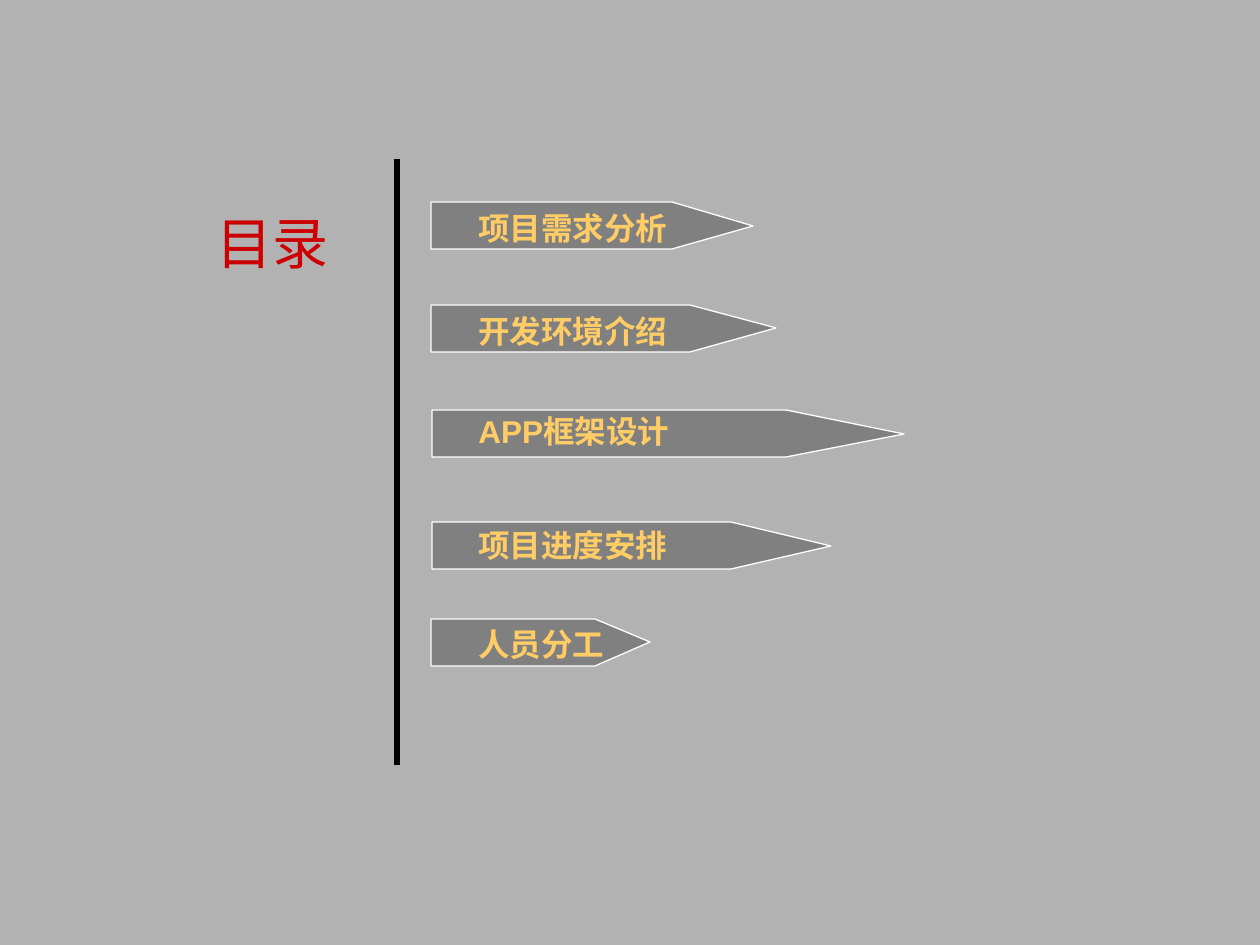
from pptx import Presentation
from pptx import util as u
from pptx.dml.color import RGBColor
from pptx.enum import shapes, text
from pptx.oxml.ns import qn
from lxml import etree

SCALE = 914400 / 126  # EMU per px
COLOURS = {
    "background": "B2B2B2",
    "divider": "000000",
    "title": "CC0000",
    "arrow": "808080",
    "outline": "FFFFFF",
    "label": "FFCC66",
}
ARROW_HEIGHT = 47
LABEL_LEFT, LABEL_HEIGHT = 466, 50

# label, (arrow left, top, width), (label top, width)
ENTRIES = [
    ("项目需求分析", (431, 202, 322), (203, 220)),
    ("开发环境介绍", (431, 305, 345), (306, 220)),
    ("APP框架设计", (432, 410, 472), (406, 246)),
    ("项目进度安排", (432, 522, 399), (520, 246)),
    ("人员分工", (431, 619, 219), (619, 214)),
]


def px(length):
    return u.Emu(round(length * SCALE))


def colour(name):
    return RGBColor.from_string(COLOURS[name])


def add_text(page, words, box, *, size, color, bold=False):
    shape = page.shapes.add_textbox(*map(px, box))
    frame = shape.text_frame
    frame.word_wrap = True
    frame.auto_size = text.MSO_AUTO_SIZE.SHAPE_TO_FIT_TEXT
    span = frame.paragraphs[0].add_run()
    span.text = words
    span.font.name = "Arial"
    span.font.size = u.Pt(size)
    span.font.bold = bold
    span.font.color.rgb = colour(color)


def add_divider(page, x, top, bottom):
    line = page.shapes.add_connector(
        shapes.MSO_CONNECTOR.STRAIGHT, px(x), px(top), px(x), px(bottom))
    line.line.color.rgb = colour("divider")
    line.line.width = u.Pt(3)
    properties = line._element.find(qn("p:spPr"))
    etree.SubElement(properties, qn("a:effectLst"))


def add_arrow(page, left, top, width, height):
    """Bar whose point takes up the last quarter of its width."""
    shoulder = left + width * 0.75
    bottom = top + height
    builder = page.shapes.build_freeform(left, top, scale=SCALE)
    builder.add_line_segments([
        (shoulder, top),
        (left + width, top + height / 2),
        (shoulder, bottom),
        (left, bottom),
    ], close=True)
    arrow = builder.convert_to_shape()
    arrow.shadow.inherit = False
    arrow.fill.solid()
    arrow.fill.fore_color.rgb = colour("arrow")
    arrow.line.color.rgb = colour("outline")
    arrow.line.width = u.Pt(0.75)


def add_entry(page, words, arrow_box, label_box):
    add_arrow(page, *arrow_box, ARROW_HEIGHT)
    top, width = label_box
    add_text(page, words, (LABEL_LEFT, top, width, LABEL_HEIGHT),
             size=18, color="label", bold=True)


def add_contents_slide(deck):
    page = deck.slides.add_slide(deck.slide_layouts[6])
    page.background.fill.solid()
    page.background.fill.fore_color.rgb = colour("background")
    add_divider(page, 397, 159, 765)
    add_text(page, "目录", (204, 202, 154, 81), size=32, color="title")
    for entry in ENTRIES:
        add_entry(page, *entry)


def main():
    deck = Presentation()
    deck.slide_width, deck.slide_height = px(1260), px(945)
    add_contents_slide(deck)
    deck.save("out.pptx")


if __name__ == "__main__":
    main()
